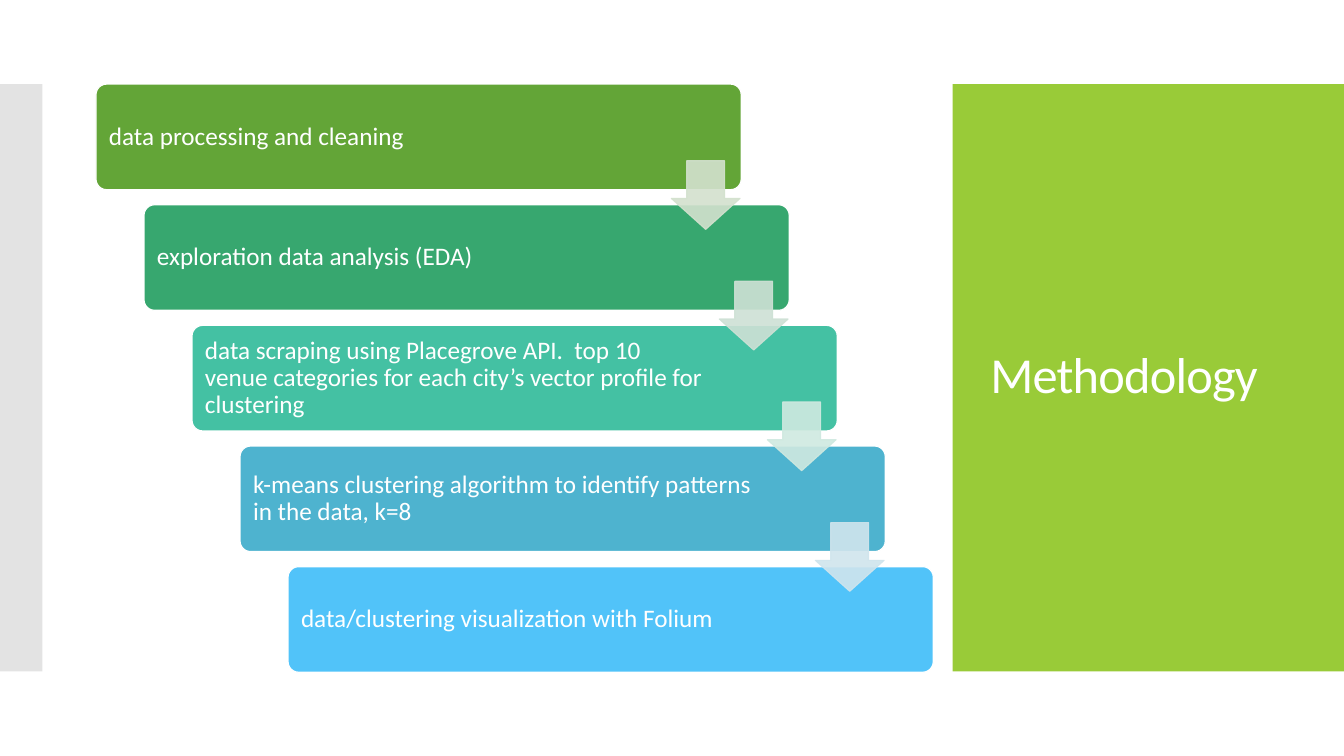
from pptx import Presentation
from pptx.dml.color import RGBColor
from pptx.enum import shapes, text
from pptx.oxml.ns import qn
from pptx.util import Cm, Pt
from lxml import etree

WHITE = RGBColor(0xFF, 0xFF, 0xFF)
LIME = RGBColor(0x99, 0xCB, 0x38)
GREY = RGBColor(0xC8, 0xC8, 0xC8)

# wording, box colour, colour of the arrow leading to the next step
STEPS = [
    ("data processing and cleaning",
     RGBColor(0x63, 0xA5, 0x37), RGBColor(0xD3, 0xE1, 0xCE)),
    ("exploration data analysis (EDA)",
     RGBColor(0x37, 0xA7, 0x6F), RGBColor(0xCE, 0xE1, 0xD5)),
    ("data scraping using Placegrove API.  top 10 venue categories "
     "for each city’s vector profile for clustering",
     RGBColor(0x44, 0xC1, 0xA3), RGBColor(0xCF, 0xE9, 0xE0)),
    ("k-means clustering algorithm to identify patterns in the data, k=8",
     RGBColor(0x4E, 0xB3, 0xCF), RGBColor(0xD0, 0xE5, 0xED)),
    ("data/clustering visualization with Folium",
     RGBColor(0x51, 0xC3, 0xF9), None),
]

SLIDE_WIDTH, SLIDE_HEIGHT = 33.87, 19.05
BAND_TOP, BAND_HEIGHT = 2.12, 14.8
PANEL_LEFT = 24.01
STEP_LEFT, STEP_WIDTH, STEP_HEIGHT = 2.42, 16.26, 2.66
SHIFT_X, SHIFT_Y = 1.21, 3.04
ARROW_LEFT, ARROW_TOP, ARROW_SIZE = 16.92, 4.05, 1.73


def set_opacity(shape, percent):
    """Apply the opacity to the fill and the outline alike."""
    for colour in shape._element.spPr.iter(qn("a:srgbClr")):
        etree.SubElement(colour, qn("a:alpha")).set("val", str(percent * 1000))


def add_block(slide, kind, box, fill, line=None, adjustments=(), opacity=100):
    block = slide.shapes.add_shape(kind, *map(Cm, box))
    block.shadow.inherit = False
    block.fill.solid()
    block.fill.fore_color.rgb = fill
    if line is None:
        block.line.fill.background()
    else:
        block.line.color.rgb = line
        block.line.width = Pt(0.85)
    for index, value in enumerate(adjustments):
        block.adjustments[index] = value
    if opacity < 100:
        set_opacity(block, opacity)
    return block


def write(shape, wording, size=18, insets=(0.25, 0.13, 0.25, 0.13), spacing=0):
    """Set white, left-aligned text; insets run left, top, right, bottom."""
    frame = shape.text_frame
    frame.word_wrap = True
    frame.auto_size = text.MSO_AUTO_SIZE.NONE
    frame.vertical_anchor = text.MSO_ANCHOR.MIDDLE
    (frame.margin_left, frame.margin_top,
     frame.margin_right, frame.margin_bottom) = map(Cm, insets)
    paragraph = frame.paragraphs[0]
    paragraph.alignment = text.PP_ALIGN.LEFT
    paragraph.line_spacing = 0.9
    run = paragraph.add_run()
    run.text = wording
    run.font.name = "Calibri"
    run.font.size = Pt(size)
    run.font.color.rgb = WHITE
    if spacing:
        run.font._element.set("spc", str(round(spacing * 100)))


def add_title(slide, wording):
    title = slide.shapes.title
    title.left, title.top = Cm(24.71), Cm(3.12)
    title.width, title.height = Cm(8.18), Cm(12.78)
    write(title, wording, size=36, spacing=-0.6)


def add_step(slide, index, wording, colour):
    box = (STEP_LEFT + index * SHIFT_X, BAND_TOP + index * SHIFT_Y,
           STEP_WIDTH, STEP_HEIGHT)
    step = add_block(slide, shapes.MSO_SHAPE.ROUNDED_RECTANGLE, box, colour,
                     line=WHITE, adjustments=[0.1])
    write(step, wording, insets=(0.25, 0.18, 3.22, 0.18))


def add_arrow(slide, index, colour):
    box = (ARROW_LEFT + index * SHIFT_X, ARROW_TOP + index * SHIFT_Y,
           ARROW_SIZE, ARROW_SIZE)
    add_block(slide, shapes.MSO_SHAPE.DOWN_ARROW, box, colour, line=colour,
              adjustments=[0.55, 0.45], opacity=90)


def main():
    deck = Presentation()
    deck.slide_width, deck.slide_height = Cm(SLIDE_WIDTH), Cm(SLIDE_HEIGHT)
    slide = deck.slides.add_slide(deck.slide_layouts.get_by_name("Title Only"))

    rectangle = shapes.MSO_SHAPE.RECTANGLE
    panel = add_block(slide, rectangle, (PANEL_LEFT, BAND_TOP,
                      SLIDE_WIDTH - PANEL_LEFT, BAND_HEIGHT), LIME)
    # The title comes first in the tree, so the panel moves behind it.
    slide.shapes.title._element.addprevious(panel._element)
    add_title(slide, "Methodology")
    add_block(slide, rectangle, (0, BAND_TOP, 1.07, BAND_HEIGHT), GREY,
              opacity=50)

    for index, (wording, colour, _) in enumerate(STEPS):
        add_step(slide, index, wording, colour)
    for index, (_, _, arrow_colour) in enumerate(STEPS[:-1]):
        add_arrow(slide, index, arrow_colour)

    deck.save("out.pptx")


if __name__ == "__main__":
    main()
